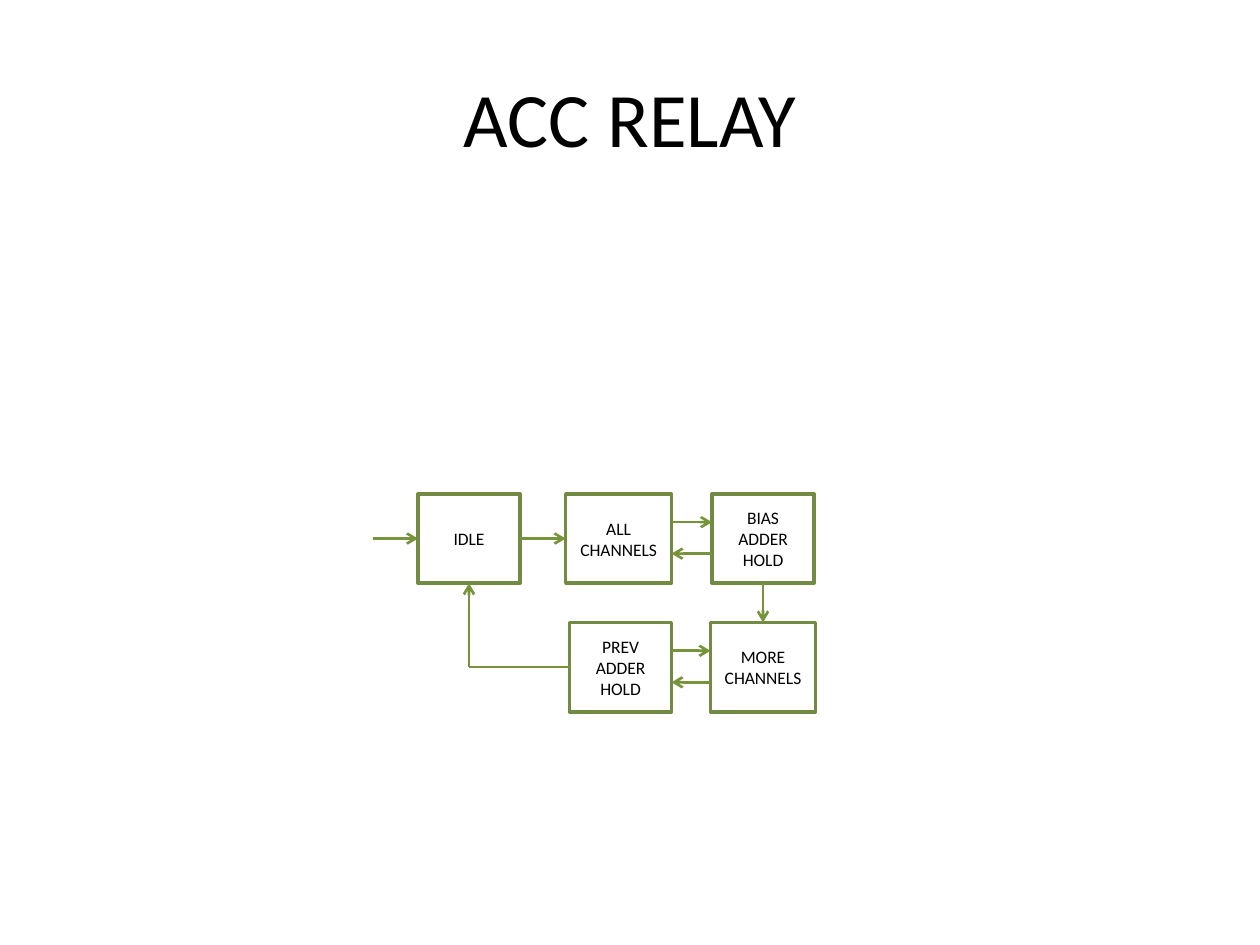
from lxml.etree import SubElement
from pptx import Presentation
from pptx.dml.color import RGBColor
from pptx.enum.shapes import MSO_CONNECTOR, MSO_SHAPE
from pptx.enum.text import MSO_ANCHOR, PP_ALIGN
from pptx.oxml.ns import qn
from pptx.util import Pt

TOP, LEFT, BOTTOM, RIGHT = range(4)


def color(value):
    return RGBColor.from_string(value)


def apply_format(target, values):
    for name, value in values.items():
        setattr(target, name, value)


class StateDiagram:
    """Draw the states and transitions of a diagram on one slide."""

    font = "Calibri"
    ink = "000000"
    box_line = "738A42"
    arrow_line = "77933C"
    box_height = 51.1

    def __init__(self, slide):
        self.slide = slide

    def add_label(self, shape, text, size):
        frame = shape.text_frame
        apply_format(frame, {"word_wrap": True, "vertical_anchor": MSO_ANCHOR.MIDDLE})
        paragraph = frame.paragraphs[0]
        paragraph.alignment = PP_ALIGN.CENTER
        run = paragraph.add_run()
        run.text = text
        apply_format(run.font, {"name": self.font, "size": Pt(size)})
        run.font.color.rgb = color(self.ink)

    def title(self, text, left, top, width, height):
        shape = self.slide.shapes.add_textbox(Pt(left), Pt(top), Pt(width), Pt(height))
        self.add_label(shape, text, 44)

    def state(self, text, center, top, width):
        shape = self.slide.shapes.add_shape(
            MSO_SHAPE.RECTANGLE, Pt(center - width / 2), Pt(top), Pt(width), Pt(self.box_height)
        )
        shape.shadow.inherit = False
        shape.fill.background()
        shape.line.color.rgb = color(self.box_line)
        shape.line.width = Pt(2)
        self.add_label(shape, text, 10)
        return shape

    def line(self, start, end, start_joint=None, end_joint=None, arrow=True):
        connector = self.slide.shapes.add_connector(
            MSO_CONNECTOR.STRAIGHT, *(Pt(value) for value in (*start, *end))
        )
        if start_joint:
            connector.begin_connect(*start_joint)
        if end_joint:
            connector.end_connect(*end_joint)
        connector.line.color.rgb = color(self.arrow_line)
        connector.line.width = Pt(1.5)
        properties = connector.element.spPr
        if arrow:
            SubElement(properties.find(qn("a:ln")), qn("a:tailEnd"), type="arrow")
        SubElement(properties, qn("a:effectLst"))

    def exchange(self, left_state, right_state):
        left = left_state.left.pt + left_state.width.pt
        right = right_state.left.pt
        top = left_state.top.pt
        self.line((left, top + 16.2), (right, top + 16.2))
        self.line((right, top + 34.2), (left, top + 34.2))


def main():
    presentation = Presentation()
    apply_format(presentation, {"slide_width": Pt(720), "slide_height": Pt(540)})
    slide = presentation.slides.add_slide(presentation.slide_layouts[6])
    diagram = StateDiagram(slide)
    diagram.title("ACC RELAY", 36, 21.6, 648, 90)

    upper, lower = 282.2, 355.7
    upper_middle, lower_middle = (top + diagram.box_height / 2 for top in (upper, lower))
    idle_center, more_center = 268, 436
    idle = diagram.state("IDLE", idle_center, upper, 58.3)
    all_channels = diagram.state("ALL CHANNELS", 353.5, upper, 60.5)
    bias = diagram.state("BIAS ADDER HOLD", more_center, upper, 58.3)
    more_channels = diagram.state("MORE CHANNELS", more_center, lower, 60)
    previous = diagram.state("PREV ADDER HOLD", 354.6, lower, 58.3)

    diagram.line((213, upper_middle), (239, upper_middle), end_joint=(idle, LEFT))
    diagram.line((297, upper_middle), (323, upper_middle), (idle, RIGHT), (all_channels, LEFT))
    diagram.exchange(all_channels, bias)
    diagram.line((more_center, 333), (more_center, lower), (bias, BOTTOM), (more_channels, TOP))
    diagram.exchange(previous, more_channels)
    corner = (idle_center, lower_middle)
    diagram.line((325, lower_middle), corner, start_joint=(previous, LEFT), arrow=False)
    diagram.line(corner, (idle_center, 333), end_joint=(idle, BOTTOM))

    presentation.save("out.pptx")


if __name__ == "__main__":
    main()
